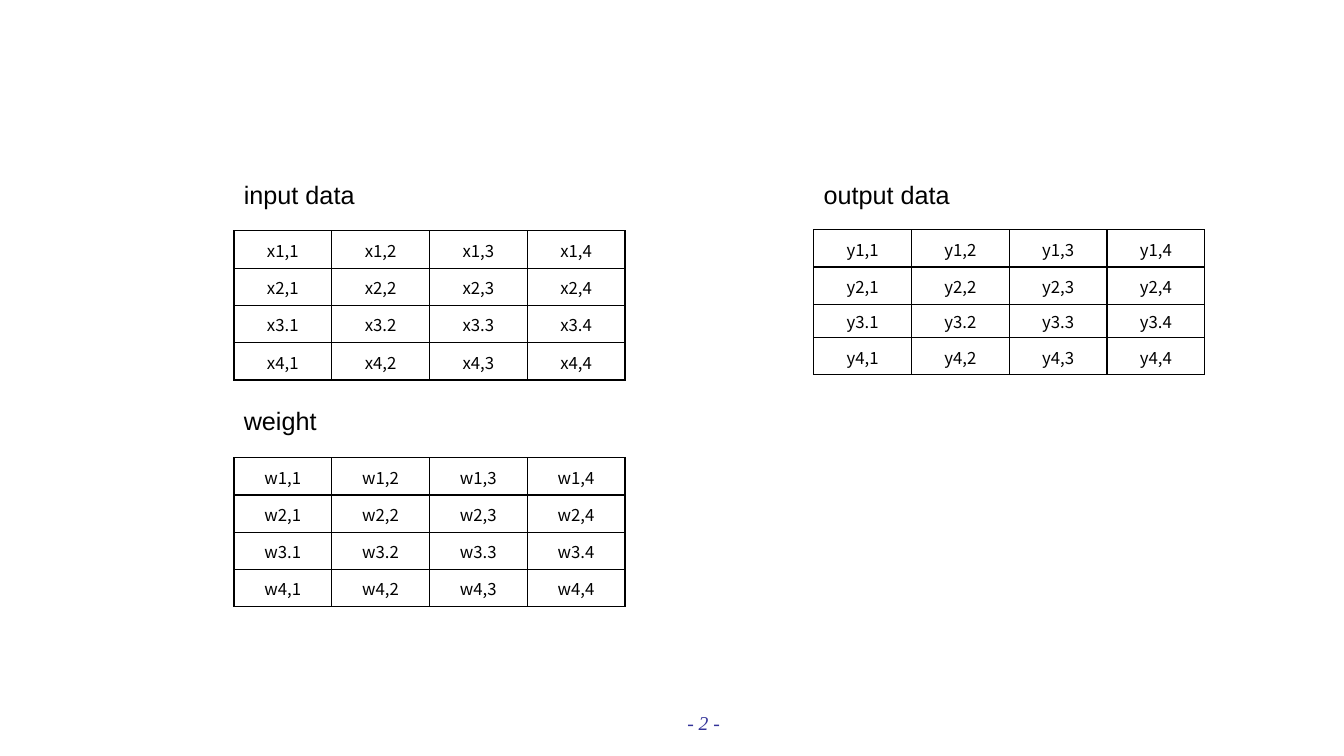
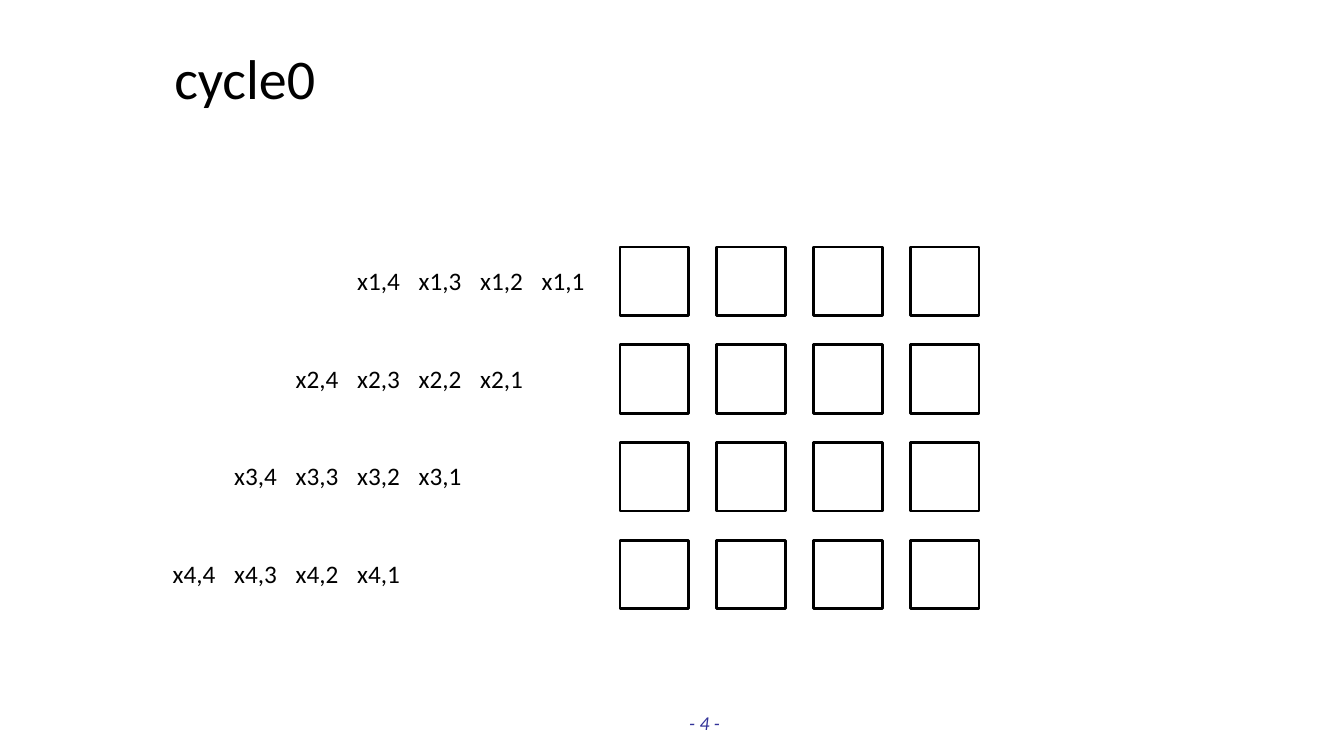
from lxml import etree
from pptx import Presentation
from pptx.dml.color import RGBColor
from pptx.enum.shapes import MSO_SHAPE
from pptx.enum.text import MSO_ANCHOR, MSO_AUTO_SIZE, PP_ALIGN
from pptx.oxml.ns import qn
from pptx.util import Inches, Pt

RECT = MSO_SHAPE.RECTANGLE
MIDDLE = MSO_ANCHOR.MIDDLE
FIT = MSO_AUTO_SIZE.SHAPE_TO_FIT_TEXT
LEFT, CENTER, RIGHT = PP_ALIGN.LEFT, PP_ALIGN.CENTER, PP_ALIGN.RIGHT

COLORS = {"ink": "000000", "footer": "333399"}
STYLES = {
    "title": {"name": "Calibri", "size": Pt(40)},
    "label": {"name": "Arial", "size": Pt(18)},
    "matrix": {"name": "Noto Sans CJK TC", "size": Pt(12)},
    "queue": {"name": "Calibri", "size": Pt(18)},
    "footer": {"size": Pt(14), "italic": True},
}

N = 4
SEPARATORS = [",", ",", ".", ","]
EVEN_ROWS = [0.37] * N
MATRICES = [
    {"label": "input data", "letter": "x", "left": 2.32, "top": 2.29,
     "label_top": 1.73, "label_width": 1.31, "rows": EVEN_ROWS},
    {"label": "output data", "letter": "y", "left": 8.07, "top": 2.28,
     "label_top": 1.73, "label_width": 1.46, "rows": [0.37, 0.37, 0.33, 0.37]},
    {"label": "weight", "letter": "w", "left": 2.32, "top": 4.54,
     "label_top": 3.97, "label_width": 0.93, "rows": EVEN_ROWS},
]
MATRIX_COL = 0.97

CYCLE_TITLE = "cycle0"
GRID_LEFT, GRID_TOP = 6.15, 2.45
STEP_X, STEP_Y, SQUARE = 0.96, 0.97, 0.68
QUEUE_LEFT, QUEUE_COL, QUEUE_ROW = 3.45, 0.61, 0.49


def write(tf, text, style, align=LEFT, color="ink", **extra):
    p = tf.paragraphs[0]
    p.alignment = align
    r = p.add_run()
    r.text = text
    for key, value in {**STYLES[style], **extra}.items():
        setattr(r.font, key, value)
    r.font.color.rgb = RGBColor.from_string(COLORS[color])


def add_text(s, text, style, left, top, width, height):
    sp = s.shapes.add_textbox(*map(Inches, (left, top, width, height)))
    tf = sp.text_frame
    tf.word_wrap = False
    tf.auto_size = FIT
    write(tf, text, style)


def add_footer(s, number, font):
    sp = s.shapes.add_textbox(*map(Inches, (4.46, 7, 2.78, 0.5)))
    sp.text_frame.word_wrap = True
    write(sp.text_frame, f"- {number} -", "footer", RIGHT, "footer", name=font)


def set_borders(cell, width):
    tcPr = cell._tc.get_or_add_tcPr()
    for side in ("lnL", "lnR", "lnT", "lnB"):
        ln = etree.SubElement(tcPr, qn(f"a:{side}"), w=str(Pt(width)))
        if width:
            fill = etree.SubElement(ln, qn("a:solidFill"))
            etree.SubElement(fill, qn("a:srgbClr"), val=COLORS["ink"])
        else:
            etree.SubElement(ln, qn("a:noFill"))


def add_grid(s, rows, style, left, top, col_width, row_heights, border):
    cols = len(rows[0])
    size = (left, top, col_width * cols, sum(row_heights))
    table = s.shapes.add_table(len(rows), cols, *map(Inches, size)).table
    table.first_row = table.horz_banding = False
    for col in table.columns:
        col.width = Inches(col_width)
    for row, height, texts in zip(table.rows, row_heights, rows):
        row.height = Inches(height)
        for cell, text in zip(row.cells, texts):
            cell.margin_left = cell.margin_right = cell.margin_top = Inches(0.01)
            cell.margin_bottom = 0
            cell.vertical_anchor = MIDDLE
            set_borders(cell, border)
            cell.fill.background()
            write(cell.text_frame, text, style, CENTER)


def build_matrices(s):
    for m in MATRICES:
        rows = [[f"{m['letter']}{i}{sep}{j}" for j in range(1, N + 1)]
                for i, sep in enumerate(SEPARATORS, 1)]
        add_grid(s, rows, "matrix", m["left"], m["top"], MATRIX_COL, m["rows"], 1)
        add_text(s, m["label"], "label", m["left"], m["label_top"],
                 m["label_width"], 0.4)


def build_cycle(s):
    group = s.shapes.add_group_shape()
    for i in range(N):
        for j in range(N):
            box = (GRID_LEFT + j * STEP_X, GRID_TOP + i * STEP_Y, SQUARE, SQUARE)
            sp = group.shapes.add_shape(RECT, *map(Inches, box))
            sp.shadow.inherit = False
            sp.fill.background()
            sp.line.color.rgb = RGBColor.from_string(COLORS["ink"])
            sp.line.width = Pt(2)
    add_text(s, CYCLE_TITLE, "title", 1.63, 0.38, 1.61, 0.77)
    for i in range(N):
        queue = [f"x{i + 1},{j}" for j in range(N, 0, -1)]
        top = GRID_TOP + i * STEP_Y + (SQUARE - QUEUE_ROW) / 2
        add_grid(s, [queue], "queue", QUEUE_LEFT - i * QUEUE_COL, top,
                 QUEUE_COL, [QUEUE_ROW], 0)


SLIDES = [
    (2, "Times New Roman", build_matrices),
    (4, "Calibri", build_cycle),
]


def main():
    prs = Presentation()
    prs.slide_width, prs.slide_height = Inches(13.33), Inches(7.5)
    for number, font, build in SLIDES:
        s = prs.slides.add_slide(prs.slide_layouts[6])
        add_footer(s, number, font)
        build(s)
    prs.save("out.pptx")


if __name__ == "__main__":
    main()
